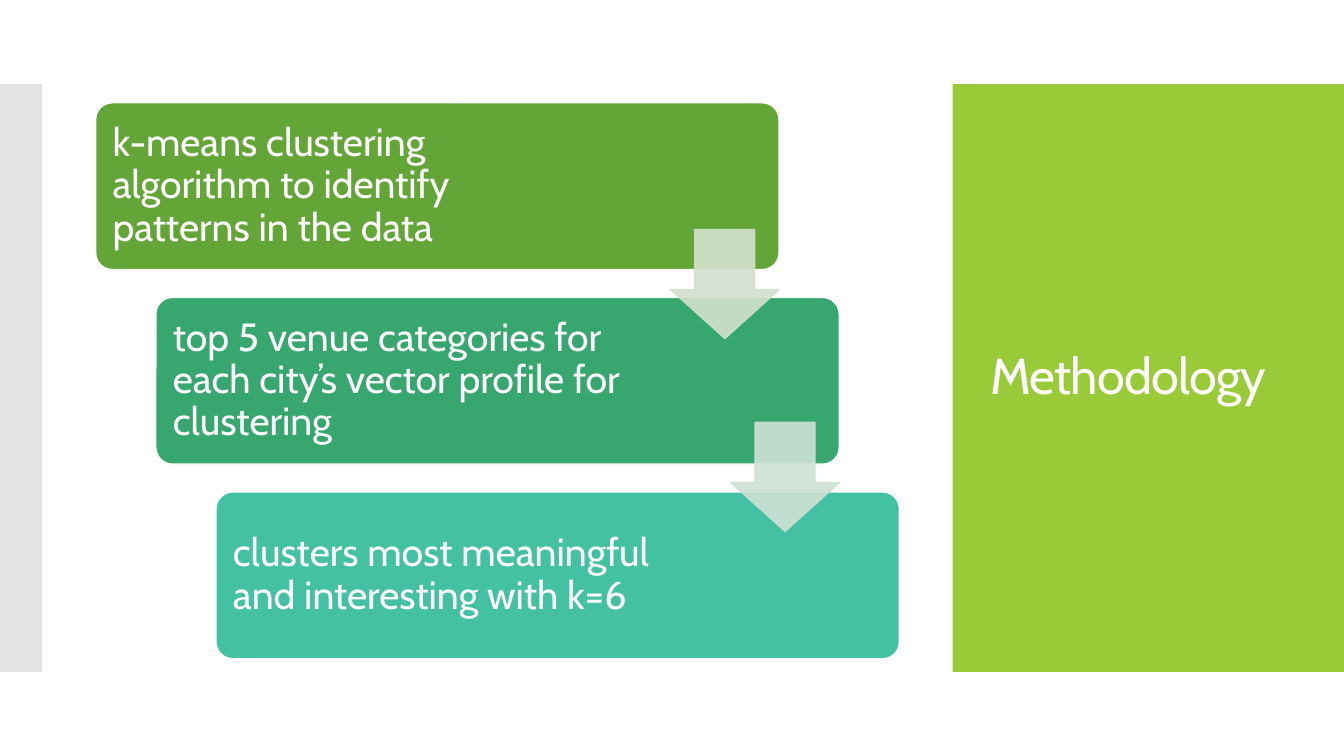
"""Build the Methodology slide: three cascading steps beside a title panel."""
from dataclasses import dataclass

from lxml.etree import SubElement
from pptx import Presentation
from pptx.dml.color import RGBColor
from pptx.enum.shapes import MSO_SHAPE as SHAPE
from pptx.enum.text import MSO_ANCHOR as ANCHOR, PP_ALIGN as ALIGN
from pptx.oxml.ns import qn
from pptx.util import Pt


@dataclass(frozen=True)
class Theme:
    """Colours, font and type sizes."""
    font: str = "Cabin"
    title_size: float = 36
    step_size: float = 28
    outline: float = 0.85
    white: str = "FFFFFF"
    panel: str = "99CB38"
    edge: str = "C8C8C8"
    steps: tuple = ("63A537", "37A76F", "44C1A3")
    arrows: tuple = ("D3E1CE", "CEE1D5")


THEME = Theme()
STEPS = (
    "k-means clustering algorithm to identify patterns in the data",
    "top 5 venue categories for each city’s vector profile for clustering",
    "clusters most meaningful and interesting with k=6",
)


def paint(fill, color, opacity=100):
    """Give a fill a solid colour and, below 100, an opacity in percent."""
    fill.solid()
    fill.fore_color.rgb = RGBColor.from_string(color)
    if opacity < 100:
        for clr in fill._xPr.iter(qn("a:srgbClr")):
            SubElement(clr, qn("a:alpha"), val=str(opacity * 1000))


def add_block(s, kind, box, color, opacity=100, line=None, adj=()):
    """Add a flat preset shape in box, with an optional outline colour."""
    sp = s.shapes.add_shape(kind, *map(Pt, box))
    sp.shadow.inherit = False
    for i, value in enumerate(adj):
        sp.adjustments[i] = value
    paint(sp.fill, color, opacity)
    if line:
        sp.line.width = Pt(THEME.outline)
        paint(sp.line.fill, line, opacity)
    else:
        sp.line.fill.background()
    return sp


def write(sp, text, size, insets):
    """Write one left-aligned, vertically centred paragraph; return its run."""
    tf = sp.text_frame
    tf.word_wrap = True
    tf.vertical_anchor = ANCHOR.MIDDLE
    tf.margin_left, tf.margin_top, tf.margin_right, tf.margin_bottom = map(Pt, insets)
    p = tf.paragraphs[0]
    p.alignment = ALIGN.LEFT
    p.line_spacing = 0.9
    p.font.name = THEME.font
    p.font.size = Pt(size)
    p.font.color.rgb = RGBColor.from_string(THEME.white)
    r = p.add_run()
    r.text = text
    return r


def add_title_panel(s, box, title):
    """Add the coloured panel and the title within it."""
    left, top, width, height = box
    add_block(s, SHAPE.RECTANGLE, box, THEME.panel)
    inner = (left + 20, top + 29, width - 48, height - 58)
    tb = s.shapes.add_textbox(*map(Pt, inner))
    r = write(tb, title, THEME.title_size, (7.2, 3.6, 7.2, 3.6))
    r._r.get_or_add_rPr().set("spc", "-60")


def add_steps(s, box, texts):
    """Cascade the step cards from corner to corner of box, then link them."""
    left, top, width, height = box
    card_w, card_h, arrow = 488, 119, 78
    gaps = len(texts) - 1
    dx, dy = (width - card_w) / gaps, (height - card_h) / gaps
    for i, (text, color) in enumerate(zip(texts, THEME.steps)):
        card = (left + i * dx, top + i * dy, card_w, card_h)
        sp = add_block(s, SHAPE.ROUNDED_RECTANGLE, card, color,
                       line=THEME.white, adj=(0.1,))
        write(sp, text, THEME.step_size, (8.6, 8.6, 130, 8.6))
    for i, color in enumerate(THEME.arrows):
        spot = (left + 410.4 + i * dx, top + 90.4 + i * (dy - 1.2), arrow, arrow)
        add_block(s, SHAPE.DOWN_ARROW, spot, color, 90, color, (0.55, 0.45))


def main():
    """Build and save the slide."""
    prs = Presentation()
    prs.slide_width, prs.slide_height = Pt(960), Pt(540)
    s = prs.slides.add_slide(prs.slide_layouts[6])
    paint(s.background.fill, THEME.white)
    add_title_panel(s, (680.4, 60, 279.6, 420), "Methodology")
    add_block(s, SHAPE.RECTANGLE, (0, 60, 30, 420), THEME.edge, 50)
    add_steps(s, (68.4, 73.5, 574, 397), STEPS)
    prs.save("out.pptx")


main()
